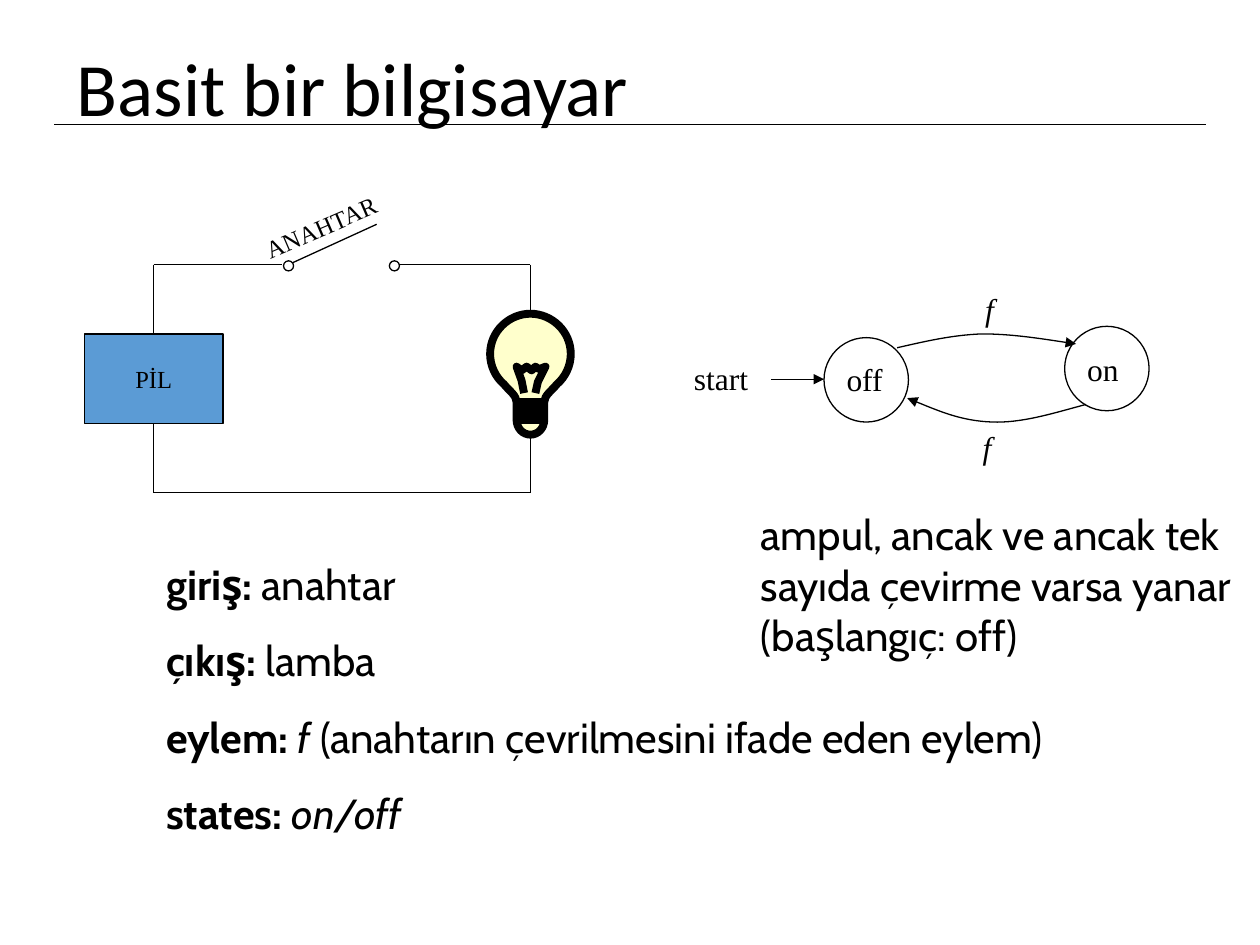
from lxml import etree
from pptx import Presentation
from pptx.dml.color import RGBColor
from pptx.enum import shapes, text
from pptx.oxml.ns import qn
from pptx.util import Inches, Pt

COLORS = {name: RGBColor.from_string(value) for name, value in {
    "ink": "000000", "paper": "FFFFFF", "battery": "5B9BD5", "glow": "FFFFCC",
}.items()}
SERIF, SANS = "Times New Roman", "Cabin"

prs = Presentation()
prs.slide_width, prs.slide_height = Inches(10), Inches(7.5)
s = prs.slides.add_slide(prs.slide_layouts[5])


def style(shape, fill=None, width=0.75, arrow=None):
    """Black outline, optional fill and arrowhead, no shadow."""
    shape.line.color.rgb = COLORS["ink"]
    shape.line.width = Pt(width)
    if fill:
        shape.fill.solid()
        shape.fill.fore_color.rgb = COLORS[fill]
    elif hasattr(shape, "fill"):
        shape.fill.background()
    if arrow:
        etree.SubElement(shape.line._ln, qn(f"a:{arrow}"), type="triangle")
    etree.SubElement(shape._element.spPr, qn("a:effectLst"))


def add_curve(points, close=False):
    """Cubic Bezier path: a start, then two controls and an end per segment."""
    points = [(Inches(x), Inches(y)) for x, y in points]
    builder = s.shapes.build_freeform(*points[0])
    builder.add_line_segments(points[1:], close=close)
    shape = builder.convert_to_shape()
    path = next(shape._element.iter(qn("a:path")))
    segments = path.findall(qn("a:lnTo"))
    for i in range(0, len(segments), 3):
        for extra in segments[i + 1:i + 3]:
            segments[i].append(extra[0])
            path.remove(extra)
        segments[i].tag = qn("a:cubicBezTo")
    return shape


# Title
title = s.shapes.title
title.left, title.top = Inches(0.51), Inches(0.01)
title.width, title.height = Inches(8.62), Inches(1.45)
tf = title.text_frame
tf.text = "Basit bir bilgisayar"
tf.auto_size = text.MSO_AUTO_SIZE.NONE
tf.vertical_anchor = text.MSO_ANCHOR.MIDDLE
p = tf.paragraphs[0]
p.alignment = text.PP_ALIGN.LEFT
p.line_spacing = 0.9
p.font.name, p.font.size = "Calibri", Pt(43)
p.font.color.rgb = COLORS["ink"]

# Title rule, circuit wires, open switch and start arrow
left, right, top, bottom = 1.22, 4.21, 2.1, 3.91
for x1, y1, x2, y2, arrow in [
    (0.43, 0.99, 9.57, 0.99, None),
    (left, top, 2.24, top, None),
    (left, top, left, 2.65, None),
    (left, 3.36, left, bottom, None),
    (left, bottom, right, bottom, None),
    (3.11, top, right, top, None),
    (right, top, right, bottom, None),
    (2.29, top, 2.99, 1.78, None),
    (6.12, 3.01, 6.54, 3.01, "tailEnd"),
]:
    line = s.shapes.add_connector(
        shapes.MSO_CONNECTOR.STRAIGHT, Inches(x1), Inches(y1), Inches(x2), Inches(y2))
    style(line, arrow=arrow)

# Switch contacts and state circles
for x, y, size, fill in [
    (2.25, 2.07, 0.08, "paper"), (3.09, 2.07, 0.08, "paper"),
    (6.54, 2.68, 0.67, None), (8.45, 2.59, 0.67, None),
]:
    circle = s.shapes.add_shape(
        shapes.MSO_SHAPE.OVAL, Inches(x), Inches(y), Inches(size), Inches(size))
    style(circle, fill)

# Battery
battery = s.shapes.add_shape(
    shapes.MSO_SHAPE.RECTANGLE, Inches(0.67), Inches(2.65), Inches(1.1), Inches(0.71))
style(battery, "battery")
tf = battery.text_frame
tf.text = "PİL"
tf.word_wrap = False
p = tf.paragraphs[0]
p.alignment = text.PP_ALIGN.CENTER
p.font.name, p.font.size = SERIF, Pt(14)
p.font.color.rgb = COLORS["ink"]

# Bulb glass: right half from base to crown, mirrored for the left half
half = [
    (0, 3.45), (0.06, 3.45), (0.11, 3.4), (0.11, 3.33),
    (0.11, 3.28), (0.11, 3.24), (0.11, 3.19),
    (0.11, 3.14), (0.17, 3.1), (0.21, 3.05),
    (0.28, 2.99), (0.32, 2.9), (0.32, 2.81),
    (0.32, 2.63), (0.17, 2.49), (0, 2.49),
]
outline = half + [(-dx, y) for dx, y in reversed(half[:-1])]
style(add_curve([(right + dx, y) for dx, y in outline], close=True), "glow", 4.5)

# Bulb filament and screw base
filament = [(4.16, 3.12), (4.14, 3.02), (4.1, 2.91), (4.14, 2.94), (4.18, 2.91),
            (4.22, 2.94), (4.25, 2.91), (4.28, 2.93), (4.33, 2.91), (4.27, 3.03),
            (4.25, 3.12)]
base = [(4.1, 3.19), (4.32, 3.19), (4.32, 3.24), (4.1, 3.24),
        (4.1, 3.29), (4.32, 3.29), (4.32, 3.33), (4.1, 3.33)]
filament, base = [[(Inches(x), Inches(y)) for x, y in part] for part in (filament, base)]
builder = s.shapes.build_freeform(*filament[0])
builder.add_line_segments(filament[1:], close=False)
builder.move_to(*base[0])
builder.add_line_segments(base[1:], close=False)
style(builder.convert_to_shape(), width=4.5)

# Transitions between the states
for points, arrow in [
    ([(7.12, 2.76), (7.34, 2.71), (7.55, 2.66), (7.79, 2.65),
      (8.02, 2.65), (8.28, 2.69), (8.54, 2.73)], "tailEnd"),
    ([(7.2, 3.16), (7.42, 3.25), (7.63, 3.34), (7.87, 3.35),
      (8.11, 3.36), (8.36, 3.28), (8.62, 3.21)], "headEnd"),
]:
    style(add_curve(points), arrow=arrow)

# Diagram labels
for label, x, y, w, h, size, italic, rotation in [
    ("ANAHTAR", 1.98, 1.63, 1.15, 0.34, 14, False, 336.7),
    ("off", 6.62, 2.81, 0.52, 0.4, 18, False, 0),
    ("on", 8.53, 2.73, 0.5, 0.4, 18, False, 0),
    ("start", 5.41, 2.8, 0.74, 0.4, 18, False, 0),
    ("f", 7.72, 2.25, 0.28, 0.4, 18, True, 0),
    ("f", 7.7, 3.35, 0.28, 0.4, 18, True, 0),
]:
    box = s.shapes.add_textbox(Inches(x), Inches(y), Inches(w), Inches(h))
    box.rotation = rotation
    tf = box.text_frame
    tf.text = label
    tf.word_wrap = False
    p = tf.paragraphs[0]
    p.font.name, p.font.size, p.font.italic = SERIF, Pt(size), italic
    p.font.color.rgb = COLORS["ink"]

# Definitions and remark: paragraphs of (text, bold, italic) runs
definitions = [
    [("giriş: ", True, False), ("anahtar", False, False)],
    [("çıkış:", True, False), (" lamba", False, False)],
    [("eylem: ", True, False), ("f", False, True),
     (" (anahtarın çevrilmesini ifade eden eylem)", False, False)],
    [("states: ", True, False), ("on/off", False, True)],
]
remark = [[("ampul, ancak ve ancak tek sayıda çevirme varsa yanar (başlangıç: off)",
            False, False)]]
for paragraphs, x, y, w, h in [
    (definitions, 1.22, 4.38, 8.27, 2.33),
    (remark, 5.94, 3.99, 3.94, 1.7),
]:
    tf = s.shapes.add_textbox(Inches(x), Inches(y), Inches(w), Inches(h)).text_frame
    tf.word_wrap = True
    for i, runs in enumerate(paragraphs):
        p = tf.add_paragraph() if i else tf.paragraphs[0]
        if i:
            p.space_before = Pt(15)
        p.font.name, p.font.size = SANS, Pt(24)
        p.font.color.rgb = COLORS["ink"]
        for words, bold, italic in runs:
            r = p.add_run()
            r.text = words
            r.font.bold, r.font.italic = bold, italic

prs.save("out.pptx")
